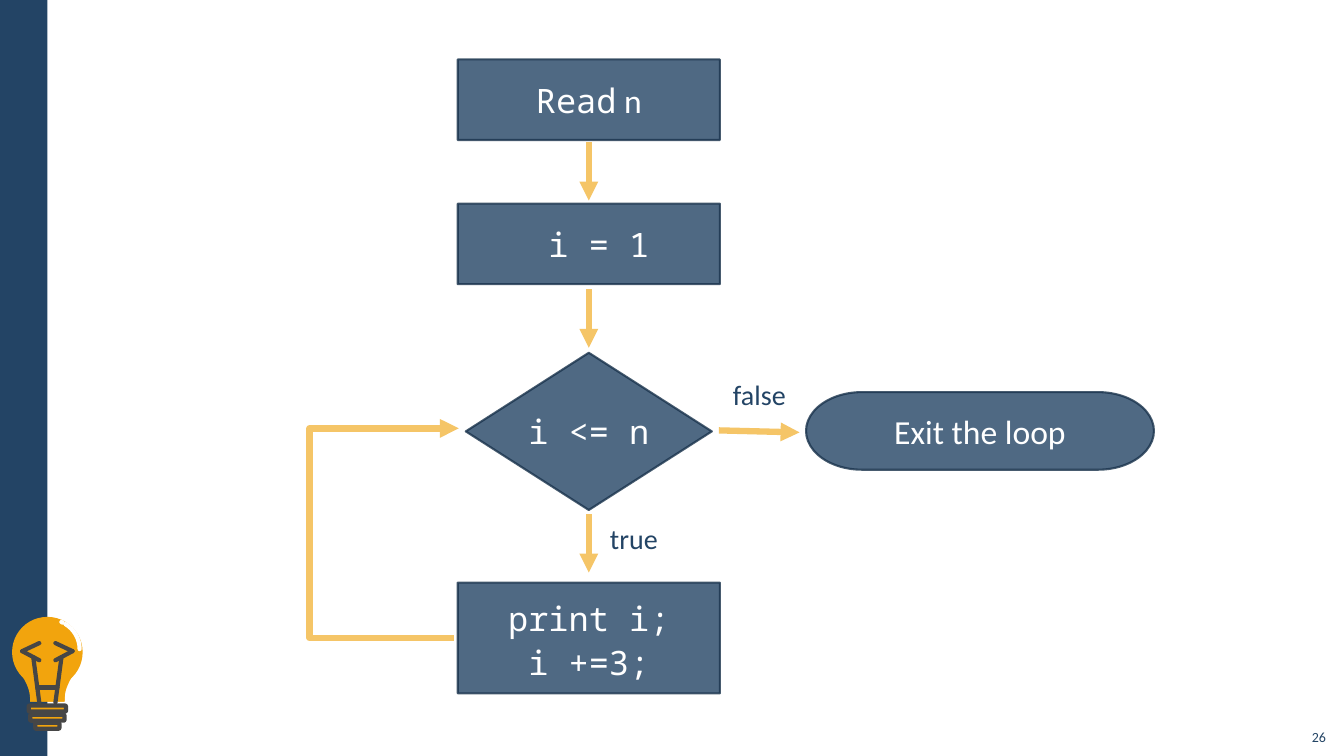
from dataclasses import dataclass

from lxml import etree
from pptx import Presentation
from pptx.dml.color import RGBColor
from pptx.enum import shapes, text
from pptx.oxml import ns
from pptx.util import Inches, Pt

NAVY = RGBColor(0x23, 0x44, 0x65)
DARK_NAVY = RGBColor(0x1A, 0x33, 0x4C)
AMBER = RGBColor(0xF2, 0xA4, 0x0D)
ARROW = RGBColor(0xF5, 0xC5, 0x67)
GREY = RGBColor(0x46, 0x46, 0x46)
WHITE = RGBColor(0xFF, 0xFF, 0xFF)
CODE, BODY = "Noto Sans Mono", "Calibri"
Shape = shapes.MSO_SHAPE
FLOW_X = 5.84
BULB_X = 0.47


@dataclass
class Node:
    kind: int
    center_x: float
    top: float
    width: float
    height: float
    text: str
    font: str = CODE
    suffix: str = ""
    spacing: float = 1.0


@dataclass
class Label:
    left: float
    top: float
    width: float
    height: float
    text: str
    size: int = 20
    align: int = text.PP_ALIGN.LEFT
    anchor: int = text.MSO_ANCHOR.TOP
    inset_x: float = 0.16
    inset_y: float = 0.12
    spacing: float = 1.1


@dataclass
class Line:
    x1: float
    y1: float
    x2: float
    y2: float


NODES = [
    Node(Shape.RECTANGLE, FLOW_X, 0.59, 2.6, 0.8, "Read", suffix=" n"),
    Node(Shape.RECTANGLE, FLOW_X, 2.02, 2.6, 0.8, " i = 1"),
    Node(Shape.FLOWCHART_DECISION, FLOW_X, 3.5, 2.44, 1.56, "i <= n"),
    Node(Shape.RECTANGLE, FLOW_X, 5.78, 2.6, 1.1, "print i;\ni +=3;", spacing=1.1),
    Node(Shape.FLOWCHART_TERMINATOR, 9.72, 3.89, 3.45, 0.77, "Exit the loop", BODY),
]
LABELS = [
    Label(7.11, 3.59, 0.95, 0.61, "false"),
    Label(5.89, 5.02, 0.85, 0.59, "true"),
    Label(12.85, 7.12, 0.4, 0.32, "26", 10, text.PP_ALIGN.RIGHT,
          text.MSO_ANCHOR.BOTTOM, 0.1, 0.05, 1.0),
]
ARROWS = [Line(FLOW_X, y, FLOW_X, y + 0.58) for y in (1.41, 2.87, 5.1)]
ARROWS.append(Line(7.13, 4.27, 7.93, 4.29))
LOOP = Line(4.5, 6.33, 4.55, 4.25)
LOOP_X = 3.07
BULB_STROKES = [
    Line(0.39, 6.97, 0.33, 6.52),
    Line(0.39, 6.55, 0.22, 6.46),
    Line(0.39, 6.38, 0.22, 6.46),
]


def add_shape(s, kind: int, left: float, top: float, width: float, height: float,
              fill=None, line=None, weight: float = 3):
    sp = s.shapes.add_shape(kind, *map(Inches, (left, top, width, height)))
    paint(sp, fill, line, weight)
    return sp


def paint(sp, fill, line, weight: float = 3) -> None:
    sp.shadow.inherit = False
    if fill is None:
        sp.fill.background()
    else:
        sp.fill.solid()
        sp.fill.fore_color.rgb = fill
    if line is None:
        sp.line.fill.background()
    else:
        sp.line.color.rgb = line
        sp.line.width = Pt(weight)


def add_line(s, line: Line, color: RGBColor, weight: float,
             kind: int = shapes.MSO_CONNECTOR.STRAIGHT, arrow: bool = False):
    c = s.shapes.add_connector(kind, *map(Inches, (line.x1, line.y1, line.x2, line.y2)))
    c.line.color.rgb = color
    c.line.width = Pt(weight)
    etree.SubElement(c._element.spPr, ns.qn("a:effectLst"))
    ln = c.line._get_or_add_ln()
    if arrow:
        etree.SubElement(ln, ns.qn("a:tailEnd"), type="triangle")
    else:
        ln.set("cap", "rnd")
    return c


def style_run(r, font: str, size: int, color: RGBColor) -> None:
    r.font.name = font
    r.font.size = Pt(size)
    r.font.color.rgb = color


def add_node(s, node: Node) -> None:
    sp = add_shape(s, node.kind, node.center_x - node.width / 2, node.top,
                   node.width, node.height, NAVY, DARK_NAVY, 1.5)
    for color in sp._element.spPr.iter(ns.qn("a:srgbClr")):
        etree.SubElement(color, ns.qn("a:alpha"), val="80000")
    tf = sp.text_frame
    tf.text = node.text
    tf.word_wrap = False
    tf.vertical_anchor = text.MSO_ANCHOR.MIDDLE
    for p in tf.paragraphs:
        p.alignment = text.PP_ALIGN.CENTER
        p.line_spacing = node.spacing
        for r in p.runs:
            style_run(r, node.font, 24, WHITE)
    if node.suffix:
        r = tf.paragraphs[-1].add_run()
        r.text = node.suffix
        style_run(r, BODY, 24, WHITE)


def add_label(s, label: Label) -> None:
    box = s.shapes.add_textbox(*map(Inches, (label.left, label.top, label.width, label.height)))
    tf = box.text_frame
    tf.text = label.text
    tf.word_wrap = True
    tf.vertical_anchor = label.anchor
    tf.margin_left = tf.margin_right = Inches(label.inset_x)
    tf.margin_top = tf.margin_bottom = Inches(label.inset_y)
    p = tf.paragraphs[0]
    p.alignment = label.align
    p.line_spacing = label.spacing
    style_run(p.runs[0], BODY, label.size, NAVY)


def bezier(a: float, b: float, c: float, d: float, t: float) -> float:
    u = 1 - t
    return a * u**3 + 3 * b * u * u * t + 3 * c * u * t * t + d * t**3


def mirror(x: float, side: int) -> float:
    return BULB_X + side * (x - BULB_X)


def add_bulb(s) -> None:
    add_shape(s, Shape.OVAL, 0.12, 6.12, 0.7, 0.7, AMBER)
    steps = [i / 8 for i in range(9)]
    curve = [(bezier(0.74, 0.66, 0.64, 0.64, t), bezier(6.67, 6.8, 6.86, 6.96, t))
             for t in steps]
    outline = [(0.3, 6.65), *curve, (0.3, 6.96)]
    for side in (1, -1):
        points = [(Inches(mirror(x, side)), Inches(y)) for x, y in outline]
        builder = s.shapes.build_freeform(*points[0])
        builder.add_line_segments(points[1:], close=True)
        paint(builder.convert_to_shape(), AMBER, None)
    for start, end in ((180.68, 0), (175.19, 177.1)):
        arc = add_shape(s, Shape.ARC, 0.21, 6.15, 0.58, 0.58, None, WHITE)
        arc.adjustments[0], arc.adjustments[1] = start, end
        arc.line._get_or_add_ln().set("cap", "rnd")
    for width, top in ((0.34, 7.09), (0.24, 7.17), (0.37, 7.0)):
        add_shape(s, Shape.ROUNDED_RECTANGLE, BULB_X - width / 2, top, width, 0.06, AMBER, GREY)
    add_line(s, Line(0.57, 6.82, 0.37, 6.82), GREY, 3)
    for side in (1, -1):
        for k in BULB_STROKES:
            add_line(s, Line(mirror(k.x1, side), k.y1, mirror(k.x2, side), k.y2), GREY, 3)


def add_loop(s) -> None:
    c = add_line(s, LOOP, ARROW, 4.5, shapes.MSO_CONNECTOR.ELBOW, arrow=True)
    bend = round((LOOP_X - LOOP.x1) / (LOOP.x2 - LOOP.x1) * 100000)
    guides = c._element.spPr.find(ns.qn("a:prstGeom")).get_or_add_avLst()
    etree.SubElement(guides, ns.qn("a:gd"), name="adj1", fmla=f"val {bend}")


def main() -> None:
    prs = Presentation()
    prs.slide_width, prs.slide_height = Inches(13.33), Inches(7.5)
    s = prs.slides.add_slide(prs.slide_layouts[6])
    add_shape(s, Shape.RECTANGLE, 0, 0, 0.47, 7.5, NAVY)
    add_bulb(s)
    for node in NODES:
        add_node(s, node)
    for arrow in ARROWS:
        add_line(s, arrow, ARROW, 4.5, arrow=True)
    add_loop(s)
    for label in LABELS:
        add_label(s, label)
    prs.save("out.pptx")


if __name__ == "__main__":
    main()
